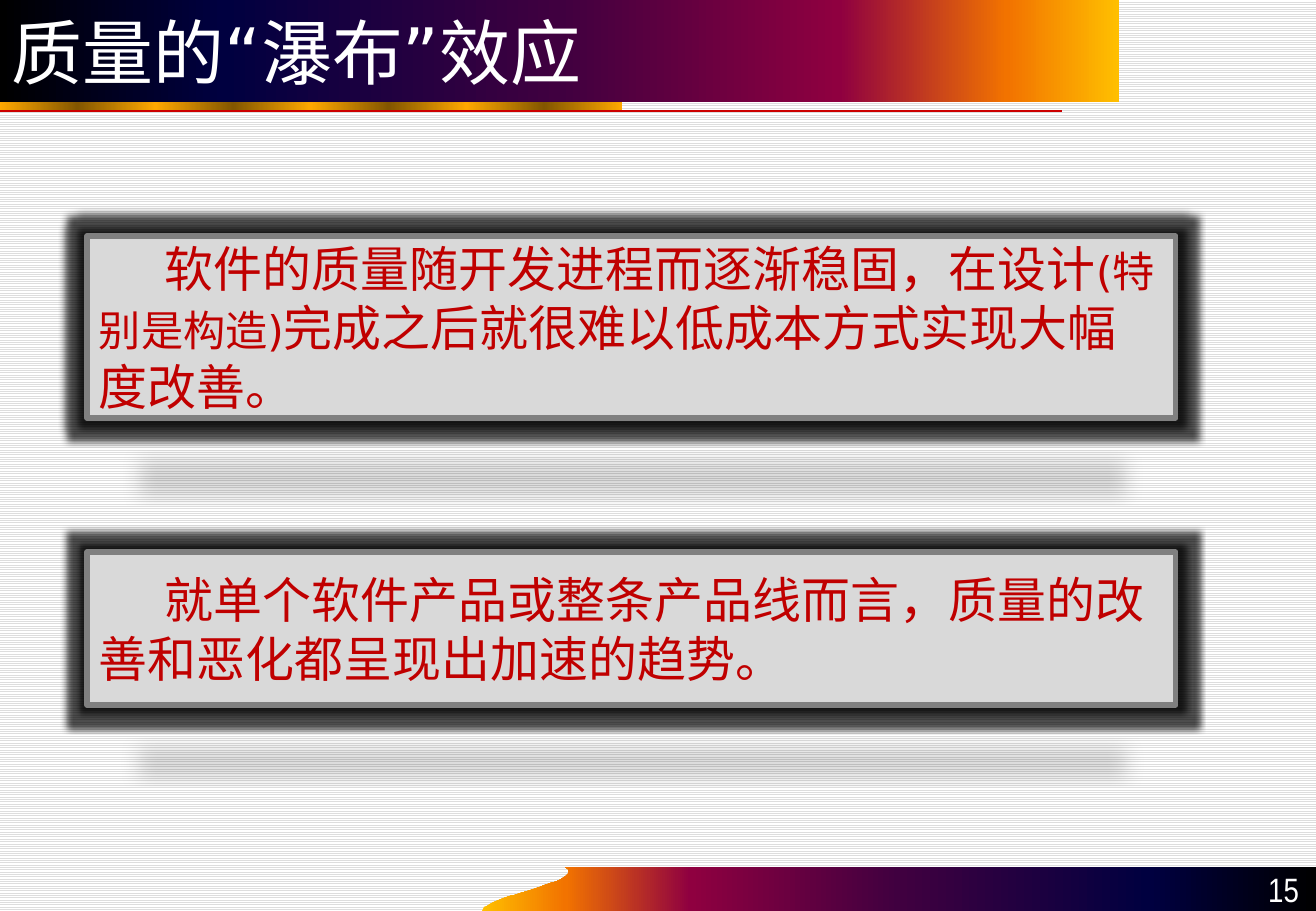
import pptx
import pptx.dml.color
import pptx.enum.dml
import pptx.enum.lang
import pptx.enum.shapes
import pptx.enum.text
import pptx.oxml
import pptx.oxml.ns
import pptx.util

RGBColor = pptx.dml.color.RGBColor
ANCHOR = pptx.enum.text.MSO_ANCHOR
ALIGN = pptx.enum.text.PP_ALIGN
RECTANGLE = pptx.enum.shapes.MSO_SHAPE.RECTANGLE

TITLE = "质量的“瀑布”效应"
SLIDE_NUMBER = "15"
# Each panel: top, height, then its runs as (text, size in points)
PANELS = [
    (236, 182, [("软件的质量随开发进程而逐渐稳固，在设计", 29),
                ("(特别是构造)", 25),
                ("完成之后就很难以低成本方式实现大幅度改善。", 29)]),
    (552, 153, [("就单个软件产品或整条产品线而言，质量的改善和恶化都呈现出加速的趋势。", 29)]),
]

SLIDE_WIDTH, SLIDE_HEIGHT = 1316, 911
PANEL_LEFT, PANEL_WIDTH, PANEL_INDENT = 87, 1089, 66
TITLE_WIDTH, TITLE_HEIGHT = 1119, 102
GOLD_TOP, GOLD_WIDTH, RULE_TOP, RULE_WIDTH = 92, 622, 111, 1062
WAVE = [(565, 867), (592, 881), (482, 897), (482, 911)]
WAVE_STEPS = 24

WHITE = RGBColor(0xFF, 0xFF, 0xFF)
STRIPE_GREY = RGBColor(0xDD, 0xDD, 0xDD)
PANEL_FILL = RGBColor(0xD9, 0xD9, 0xD9)
PANEL_LINE = RGBColor(0x80, 0x80, 0x80)
PANEL_TEXT = RGBColor(0xC0, 0x00, 0x00)
RULE_RED = RGBColor(0xCC, 0x00, 0x00)
GOLD = RGBColor(0xFF, 0xA8, 0x00)
BRONZE = RGBColor(0x82, 0x56, 0x00)
SUNSET = [
    (0, RGBColor(0x00, 0x00, 0x00)), (20, RGBColor(0x00, 0x00, 0x40)),
    (50, RGBColor(0x40, 0x00, 0x40)), (75, RGBColor(0x8F, 0x00, 0x40)),
    (90, RGBColor(0xF2, 0x73, 0x00)), (100, RGBColor(0xFF, 0xBF, 0x00)),
]
REVERSED_SUNSET = [(100 - position, color) for position, color in reversed(SUNSET)]
GOLD_BANDS = [(12.5 * i, BRONZE if i % 2 else GOLD) for i in range(9)]

NAMESPACE = pptx.oxml.ns.nsdecls("a")
PANEL_EFFECTS = f"""<a:effectLst {NAMESPACE}>
<a:glow rad="101600"><a:srgbClr val="000000"><a:alpha val="70000"/></a:srgbClr></a:glow>
<a:outerShdw blurRad="152400" dist="317500" dir="5400000" sx="90000" sy="-19000" rotWithShape="0">
<a:srgbClr val="000000"><a:alpha val="15000"/></a:srgbClr></a:outerShdw></a:effectLst>"""


def px(length):
    return round(length * pptx.util.Inches(1) / 121.5)


def box(*lengths):
    return [px(length) for length in lengths]


def fill_gradient(shape, stops):
    """Fill left to right with (percent, color) stops, without outline or shadow."""
    shape.shadow.inherit = False
    shape.line.fill.background()
    shape.fill.gradient()
    shape.fill.gradient_angle = 0
    stop_list = shape._element.spPr.find(".//" + pptx.oxml.ns.qn("a:gsLst"))
    for stop in list(stop_list):
        stop_list.remove(stop)
    for position, color in stops:
        stop_list.append(pptx.oxml.parse_xml(
            f'<a:gs {NAMESPACE} pos="{round(position * 1000)}"><a:srgbClr val="{color}"/></a:gs>'))


def write(shape, runs, font_name, color, anchor, align=ALIGN.LEFT, indent=0):
    frame = shape.text_frame
    frame.word_wrap = True
    frame.vertical_anchor = anchor
    paragraph = frame.paragraphs[0]
    paragraph.alignment = align
    if indent:
        paragraph._p.get_or_add_pPr().set("indent", str(px(indent)))
    paragraph.font.name = font_name
    paragraph.font.color.rgb = color
    for text, size in runs:
        run = paragraph.add_run()
        run.text = text
        run.font.size = pptx.util.Pt(size)
        run.font.name = font_name
        run.font.color.rgb = color
        run.font.language_id = pptx.enum.lang.MSO_LANGUAGE_ID.SIMPLIFIED_CHINESE
        run._r.rPr.find(pptx.oxml.ns.qn("a:latin")).addnext(
            pptx.oxml.parse_xml(f'<a:ea {NAMESPACE} typeface="{font_name}"/>'))


def curve_point(t):
    """Point of the cubic curve WAVE at t."""
    weights = [(1 - t) ** 3, 3 * t * (1 - t) ** 2, 3 * t * t * (1 - t), t ** 3]
    return tuple(round(sum(w * p[axis] for w, p in zip(weights, WAVE)), 2) for axis in (0, 1))


presentation = pptx.Presentation()
presentation.slide_width, presentation.slide_height = box(SLIDE_WIDTH, SLIDE_HEIGHT)
slide = presentation.slides.add_slide(presentation.slide_layouts[6])
shapes = slide.shapes

background = slide.background.fill
background.patterned()
background.pattern = pptx.enum.dml.MSO_PATTERN.LIGHT_HORIZONTAL
background.fore_color.rgb = STRIPE_GREY
background.back_color.rgb = WHITE

edge = [curve_point(i / WAVE_STEPS) for i in range(WAVE_STEPS + 1)]
builder = shapes.build_freeform(*edge[0], scale=px(1000) / 1000)
builder.add_line_segments(edge[1:] + [(SLIDE_WIDTH, SLIDE_HEIGHT), (SLIDE_WIDTH, WAVE[0][1])])
fill_gradient(builder.convert_to_shape(), REVERSED_SUNSET)

gold_bar = shapes.add_shape(RECTANGLE, *box(0, GOLD_TOP, GOLD_WIDTH, RULE_TOP - GOLD_TOP))
fill_gradient(gold_bar, GOLD_BANDS)
rule = shapes.add_connector(pptx.enum.shapes.MSO_CONNECTOR.STRAIGHT,
                            *box(0, RULE_TOP, RULE_WIDTH, RULE_TOP))
rule.line.color.rgb = RULE_RED
rule.line.width = pptx.util.Pt(0.75)
rule._element.spPr.append(pptx.oxml.parse_xml(f"<a:effectLst {NAMESPACE}/>"))

title = shapes.add_shape(RECTANGLE, *box(0, 0, TITLE_WIDTH, TITLE_HEIGHT))
fill_gradient(title, SUNSET)
write(title, [(TITLE, 42)], "DejaVu Sans", WHITE, ANCHOR.MIDDLE)

number = shapes.add_textbox(*box(1194, 866, 117, 49))
write(number, [(SLIDE_NUMBER, 20)], "Arial Narrow", WHITE, ANCHOR.BOTTOM, ALIGN.RIGHT)

for top, height, runs in PANELS:
    panel = shapes.add_shape(RECTANGLE, *box(PANEL_LEFT, top, PANEL_WIDTH, height))
    panel.fill.solid()
    panel.fill.fore_color.rgb = PANEL_FILL
    panel.line.color.rgb = PANEL_LINE
    panel.line.width = pptx.util.Pt(3)
    panel._element.spPr.append(pptx.oxml.parse_xml(PANEL_EFFECTS))
    write(panel, runs, "DejaVu Sans", PANEL_TEXT, ANCHOR.MIDDLE, indent=PANEL_INDENT)

presentation.save("out.pptx")
